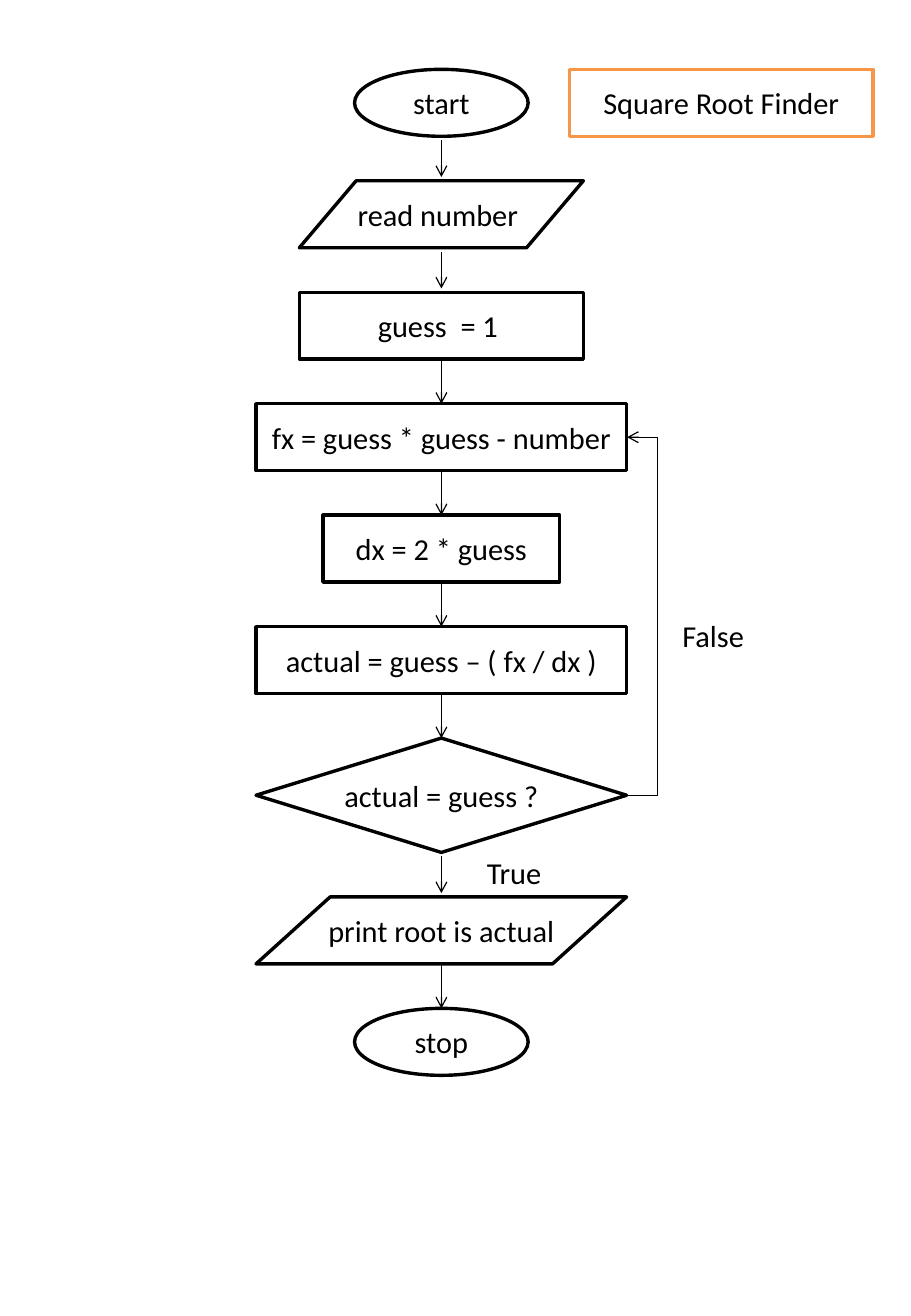
from dataclasses import dataclass

from lxml.etree import SubElement
from pptx import Presentation
from pptx.dml.color import RGBColor
from pptx.enum.shapes import MSO_CONNECTOR, MSO_SHAPE
from pptx.enum.text import MSO_ANCHOR, PP_ALIGN
from pptx.oxml.ns import qn
from pptx.util import Cm, Pt


@dataclass(frozen=True)
class Theme:
    font: str = "Calibri"
    text_size: float = 18
    outline_width: float = 2
    arrow_width: float = 0.75
    ink: RGBColor = RGBColor(0, 0, 0)
    paper: RGBColor = RGBColor(255, 255, 255)
    accent: RGBColor = RGBColor(0xF7, 0x96, 0x46)


THEME = Theme()

# Layout in centimetres
CENTRE = 9.23
FIRST_TOP = 1.45
STEP_HEIGHT = 1.4
DECISION_HEIGHT = 2.39
STEP_GAP = 0.93
ARROW_MARGIN = 0.08
LOOP_REACH = 0.64
SMALL, NARROW, MEDIUM, WIDE = 3.63, 4.95, 5.94, 7.75

# Shape, text, width, height, margin at both ends of the arrow below
STEPS = [
    (MSO_SHAPE.OVAL, "start", SMALL, STEP_HEIGHT, ARROW_MARGIN),
    (MSO_SHAPE.FLOWCHART_DATA, "read number ", MEDIUM, STEP_HEIGHT, ARROW_MARGIN),
    (MSO_SHAPE.RECTANGLE, "guess  = 1 ", MEDIUM, STEP_HEIGHT, 0),
    (MSO_SHAPE.RECTANGLE, "fx = guess * guess - number", WIDE, STEP_HEIGHT, 0),
    (MSO_SHAPE.RECTANGLE, "dx = 2 * guess", NARROW, STEP_HEIGHT, 0),
    (MSO_SHAPE.RECTANGLE, "actual = guess – ( fx / dx )", WIDE, STEP_HEIGHT, 0),
    (MSO_SHAPE.FLOWCHART_DECISION, "actual = guess ?", WIDE, DECISION_HEIGHT, ARROW_MARGIN),
    (MSO_SHAPE.FLOWCHART_DATA, "print root is actual", WIDE, STEP_HEIGHT, 0),
    (MSO_SHAPE.OVAL, "stop", SMALL, STEP_HEIGHT, 0),
]
LOOP_TARGET, DECISION = 3, 6


def write_text(box, text, align, wrap=False):
    frame = box.text_frame
    frame.text = text
    frame.word_wrap = wrap
    para = frame.paragraphs[0]
    para.alignment = align
    for span in para.runs:
        span.font.name = THEME.font
        span.font.size = Pt(THEME.text_size)
        span.font.color.rgb = THEME.ink


def add_box(page, kind, text, left, top, width, height, line=THEME.ink, wrap=False):
    box = page.shapes.add_shape(kind, Cm(left), Cm(top), Cm(width), Cm(height))
    box.shadow.inherit = False
    box.fill.solid()
    box.fill.fore_color.rgb = THEME.paper
    box.line.color.rgb = line
    box.line.width = Pt(THEME.outline_width)
    write_text(box, text, PP_ALIGN.CENTER, wrap)
    box.text_frame.vertical_anchor = MSO_ANCHOR.MIDDLE


def add_label(page, text, left, top, width):
    box = page.shapes.add_textbox(Cm(left), Cm(top), Cm(width), Cm(1.02))
    write_text(box, text, PP_ALIGN.LEFT)


def add_arrow(page, kind, x1, y1, x2, y2):
    arrow = page.shapes.add_connector(kind, Cm(x1), Cm(y1), Cm(x2), Cm(y2))
    arrow.line.color.rgb = THEME.ink
    arrow.line.width = Pt(THEME.arrow_width)
    properties = arrow.element.spPr
    SubElement(properties.find(qn("a:ln")), qn("a:tailEnd"), type="arrow")
    SubElement(properties, qn("a:effectLst"))
    return arrow


def add_loop(page, x, start_y, end_y):
    # The bend is a share of the width, so the connector needs a small one
    width = 0.01
    arrow = add_arrow(page, MSO_CONNECTOR.ELBOW, x, start_y, x + width, end_y)
    guides = arrow.element.spPr.find(qn("a:prstGeom")).get_or_add_avLst()
    bend = round(LOOP_REACH / width * 100000)
    SubElement(guides, qn("a:gd"), name="adj1", fmla=f"val {bend}")


def main():
    deck = Presentation()
    deck.slide_width, deck.slide_height = Cm(19.05), Cm(27.51)
    page = deck.slides.add_slide(deck.slide_layouts[6])

    # Steps, stacked with equal gaps on one axis
    tops = []
    top = FIRST_TOP
    for kind, text, width, height, _ in STEPS:
        add_box(page, kind, text, CENTRE - width / 2, top, width, height)
        tops.append(top)
        top += height + STEP_GAP

    # Arrows between neighbouring steps
    for step, step_top, next_top in zip(STEPS, tops, tops[1:]):
        height, margin = step[3:]
        add_arrow(page, MSO_CONNECTOR.STRAIGHT, CENTRE, step_top + height + margin,
                  CENTRE, next_top - margin)

    # Way back from the decision
    add_loop(page, CENTRE + WIDE / 2, tops[DECISION] + DECISION_HEIGHT / 2,
             tops[LOOP_TARGET] + STEP_HEIGHT / 2)

    # Branch labels and title
    add_label(page, "True", 9.93, 17.73, 1.68)
    add_label(page, "False", 14.02, 12.78, 1.8)
    add_box(page, MSO_SHAPE.RECTANGLE, "Square Root Finder", 11.91, FIRST_TOP,
            6.35, STEP_HEIGHT, line=THEME.accent, wrap=True)

    deck.save("out.pptx")


main()
